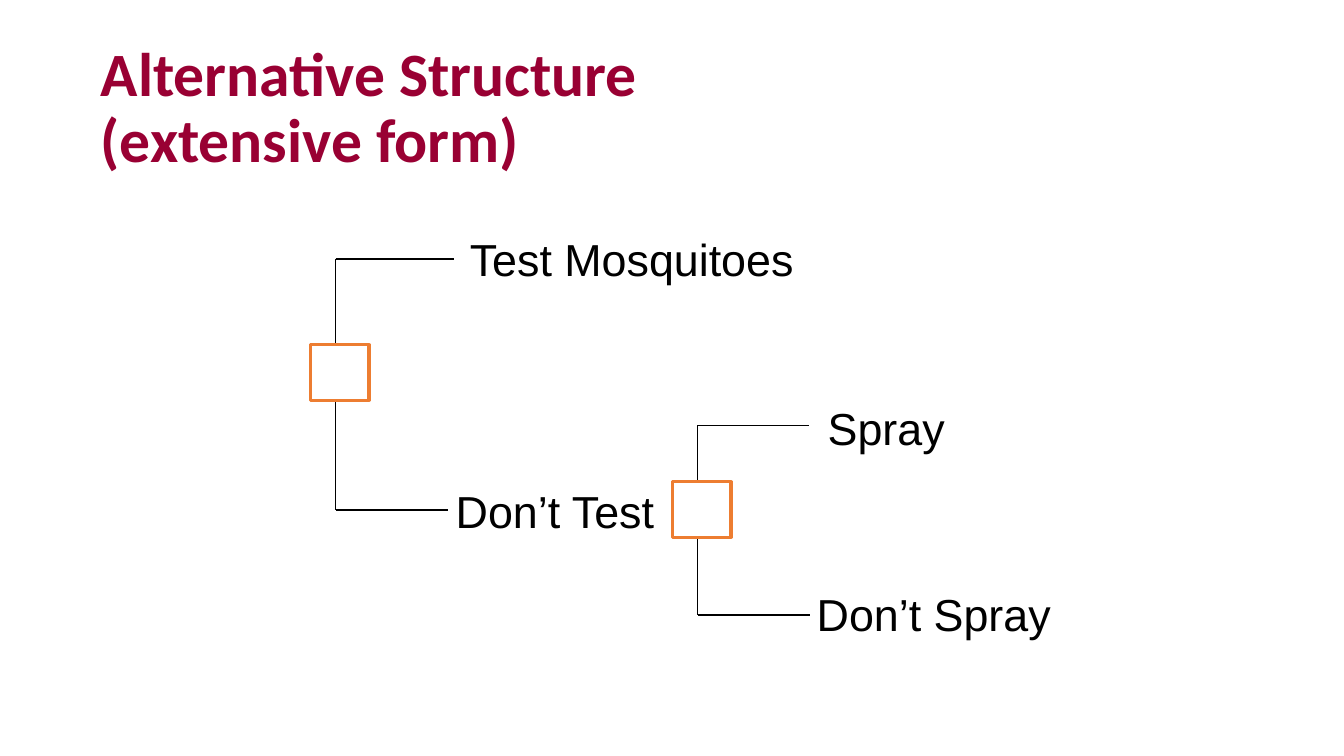
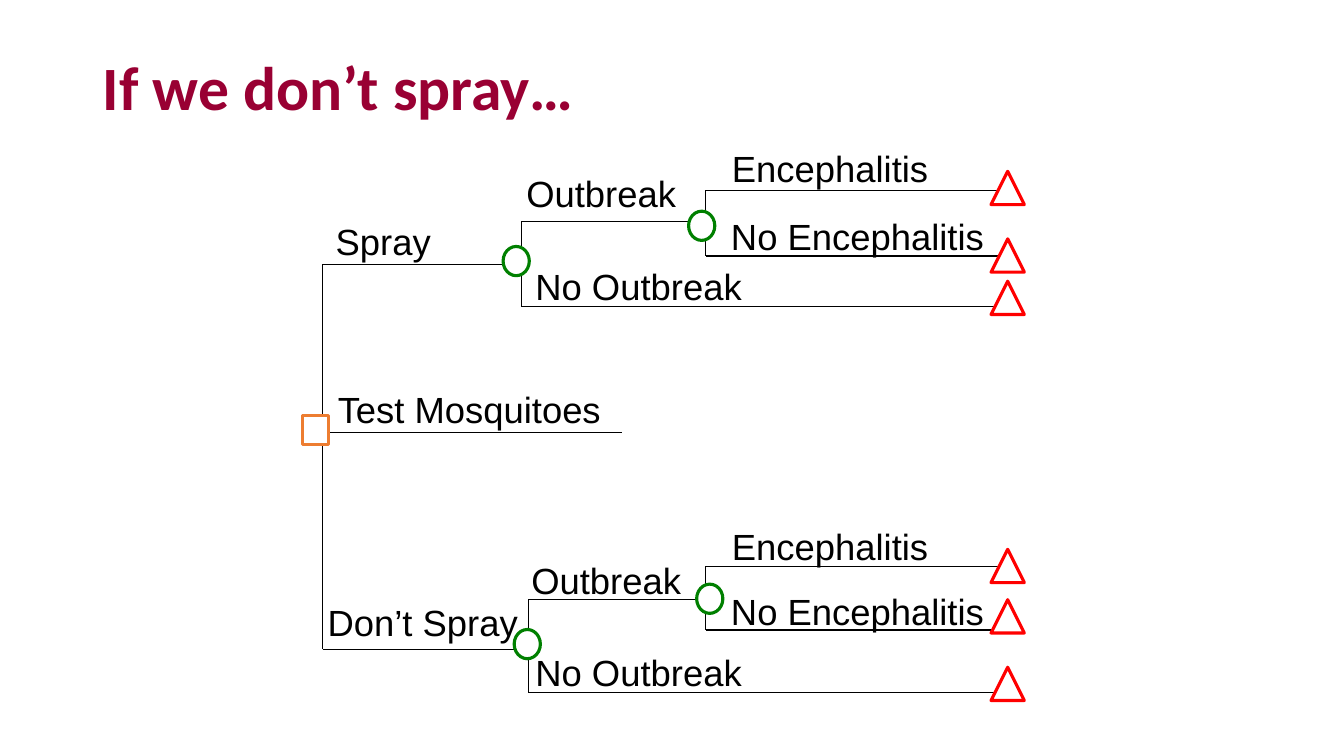
from lxml import etree
from pptx import Presentation
from pptx.dml.color import RGBColor
from pptx.enum.shapes import MSO_CONNECTOR, MSO_SHAPE
from pptx.enum.text import MSO_ANCHOR, MSO_AUTO_SIZE, PP_ALIGN
from pptx.oxml.ns import qn
from pptx.util import Inches, Pt

STRAIGHT = MSO_CONNECTOR.STRAIGHT
SQUARE, CIRCLE, TRIANGLE = MSO_SHAPE.RECTANGLE, MSO_SHAPE.OVAL, MSO_SHAPE.ISOSCELES_TRIANGLE
TOP, MIDDLE = MSO_ANCHOR.TOP, MSO_ANCHOR.MIDDLE
NO_FIT = MSO_AUTO_SIZE.NONE
LEFT = PP_ALIGN.LEFT

COLORS = {
    "title": "990033",
    "ink": "000000",
    "paper": "FFFFFF",
    "decision": "ED7D31",
    "chance": "008000",
    "end": "FF0000",
}
TITLE_FONT = {"name": "Calibri", "size": Pt(44), "bold": True}
LABEL_FRAME = {
    "word_wrap": True, "auto_size": NO_FIT, "vertical_anchor": TOP,
    "margin_left": 0, "margin_right": 0, "margin_top": 0, "margin_bottom": 0,
}
THIN, NORMAL = 0.75, 1
LABEL_HEIGHT = 0.43
CHANCE_SIZE = (0.26, 0.29)
END_SIZE = (0.33, 0.33)

# Offsets from the top of each subtree; end points run from top to bottom
SPRAY_TREE = {
    "split_x": 0.17, "split": (0.75, 1.59), "node": (0.12, 1.14),
    "illness": (0.44, 1.09), "illness_node": (1.96, 0.79),
    "labels": (0, 0.67, 1.17), "ends": (0.25, 0.92, 1.34),
    "outbreak": (0.22, 0.25),
}
NO_SPRAY_TREE = {
    "split_x": 0.24, "split": (0.75, 1.67), "node": (0.23, 1.19),
    "illness": (0.42, 1.05), "illness_node": (2.04, 0.74),
    "labels": (0, 0.64, 1.25), "ends": (0.25, 0.75, 1.42),
    "outbreak": (0.27, 0.34),
}


def rgb(name):
    return RGBColor.from_string(COLORS[name])


def set_all(obj, values):
    for key, value in values.items():
        setattr(obj, key, value)


def add_title_slide(prs, title, x, y, w, h):
    s = prs.slides.add_slide(prs.slide_layouts[5])
    sp = s.shapes.title
    set_all(sp, {"left": Inches(x), "top": Inches(y), "width": Inches(w), "height": Inches(h)})
    tf = sp.text_frame
    tf.text = title
    set_all(tf, {"vertical_anchor": MIDDLE, "auto_size": NO_FIT, "word_wrap": True})
    p = tf.paragraphs[0]
    set_all(p, {"alignment": LEFT, "line_spacing": 0.9})
    for r in p.runs:
        set_all(r.font, TITLE_FONT)
        r.font.color.rgb = rgb("title")
    return s


def add_label(s, text, x, y, w, size=26):
    sp = s.shapes.add_textbox(Inches(x), Inches(y), Inches(w), Inches(LABEL_HEIGHT))
    tf = sp.text_frame
    set_all(tf, LABEL_FRAME)
    r = tf.paragraphs[0].add_run()
    r.text = text
    set_all(r.font, {"name": "Arial", "size": Pt(size)})
    r.font.color.rgb = rgb("ink")


def add_line(s, x1, y1, x2, y2, width=NORMAL):
    c = s.shapes.add_connector(STRAIGHT, Inches(x1), Inches(y1), Inches(x2), Inches(y2))
    c.line.color.rgb = rgb("ink")
    c.line.width = Pt(width)
    etree.SubElement(c._element.spPr, qn("a:effectLst"))


def add_fork(s, x, arms, spine=THIN, width=NORMAL):
    """Draw a vertical spine at x and an arm for each (y, right end)."""
    add_line(s, x, arms[0][0], x, arms[-1][0], spine)
    for y, end in arms:
        add_line(s, x, y, end, y, width)


def add_node(s, shape, color, x, y, w, h):
    sp = s.shapes.add_shape(shape, Inches(x), Inches(y), Inches(w), Inches(h))
    sp.shadow.inherit = False
    sp.fill.solid()
    sp.fill.fore_color.rgb = rgb("paper")
    sp.line.color.rgb = rgb(color)
    sp.line.width = Pt(2.25)


def add_chance(s, cx, cy):
    w, h = CHANCE_SIZE
    add_node(s, CIRCLE, "chance", cx - w / 2, cy - h / 2, w, h)


def add_outcome_tree(s, x, y, tree):
    """Draw outbreak and encephalitis branches from the corner (x, y)."""
    illness_x = x + 2
    end_x = x + 4.83
    outbreak_y, no_outbreak_y = (y + dy for dy in tree["split"])
    add_fork(s, x + tree["split_x"], [(outbreak_y, illness_x - 0.1), (no_outbreak_y, end_x + 0.05)])
    add_fork(s, illness_x, [(y + dy, end_x + 0.1) for dy in tree["illness"]])

    names = ("Encephalitis", "No Encephalitis", "No Outbreak")
    for name, dx, dy in zip(names, (2.26, 2.25, 0.31), tree["labels"]):
        add_label(s, name, x + dx, y + dy, 2.75)
    dx, dy = tree["outbreak"]
    add_label(s, "Outbreak", x + dx, y + dy, 1.58)

    for key in ("node", "illness_node"):
        dx, dy = tree[key]
        add_chance(s, x + dx, y + dy)
    for dy in tree["ends"]:
        add_node(s, TRIANGLE, "end", end_x, y + dy, *END_SIZE)


def add_choice(s, x, y, arms, labels):
    """Draw a decision box at (x, y) with its fork and (text, x, y, width) labels."""
    add_fork(s, x + 0.25, arms, spine=NORMAL)
    add_node(s, SQUARE, "decision", x, y, 0.58, 0.55)
    for label in labels:
        add_label(s, *label, size=32)


def build_structure_slide(prs):
    s = add_title_slide(prs, "Alternative Structure\v(extensive form)", 0.9, 0.42, 10.26, 1.33)
    add_choice(s, 3.08, 3.42, [(2.57, 4.5), (5.06, 4.44)],
               [("Test Mosquitoes", 4.66, 2.3, 3.5), ("Don’t Test", 4.52, 4.8, 2.14)])
    add_choice(s, 6.67, 4.78, [(4.22, 8.02), (6.1, 8.03)],
               [("Spray", 8.21, 3.98, 1.4), ("Don’t Spray", 8.1, 5.82, 2.7)])


def build_no_spray_slide(prs):
    s = add_title_slide(prs, "If we don’t spray…", 0.92, 0.4, 11.5, 0.99)
    add_fork(s, 3.2, [(2.62, 5.1), (4.29, 6.17), (6.44, 5.1)], width=THIN)
    add_label(s, "Spray", 3.33, 2.17, 1)
    add_label(s, "Test Mosquitoes", 3.35, 3.84, 2.85)
    add_label(s, "Don’t Spray", 3.25, 5.95, 2)
    add_node(s, SQUARE, "decision", 3, 4.12, 0.26, 0.29)
    add_outcome_tree(s, 5, 1.45, SPRAY_TREE)
    add_outcome_tree(s, 5, 5.2, NO_SPRAY_TREE)


def main():
    prs = Presentation()
    prs.slide_width, prs.slide_height = Inches(13.33), Inches(7.5)
    build_structure_slide(prs)
    build_no_spray_slide(prs)
    prs.save("out.pptx")


if __name__ == "__main__":
    main()
